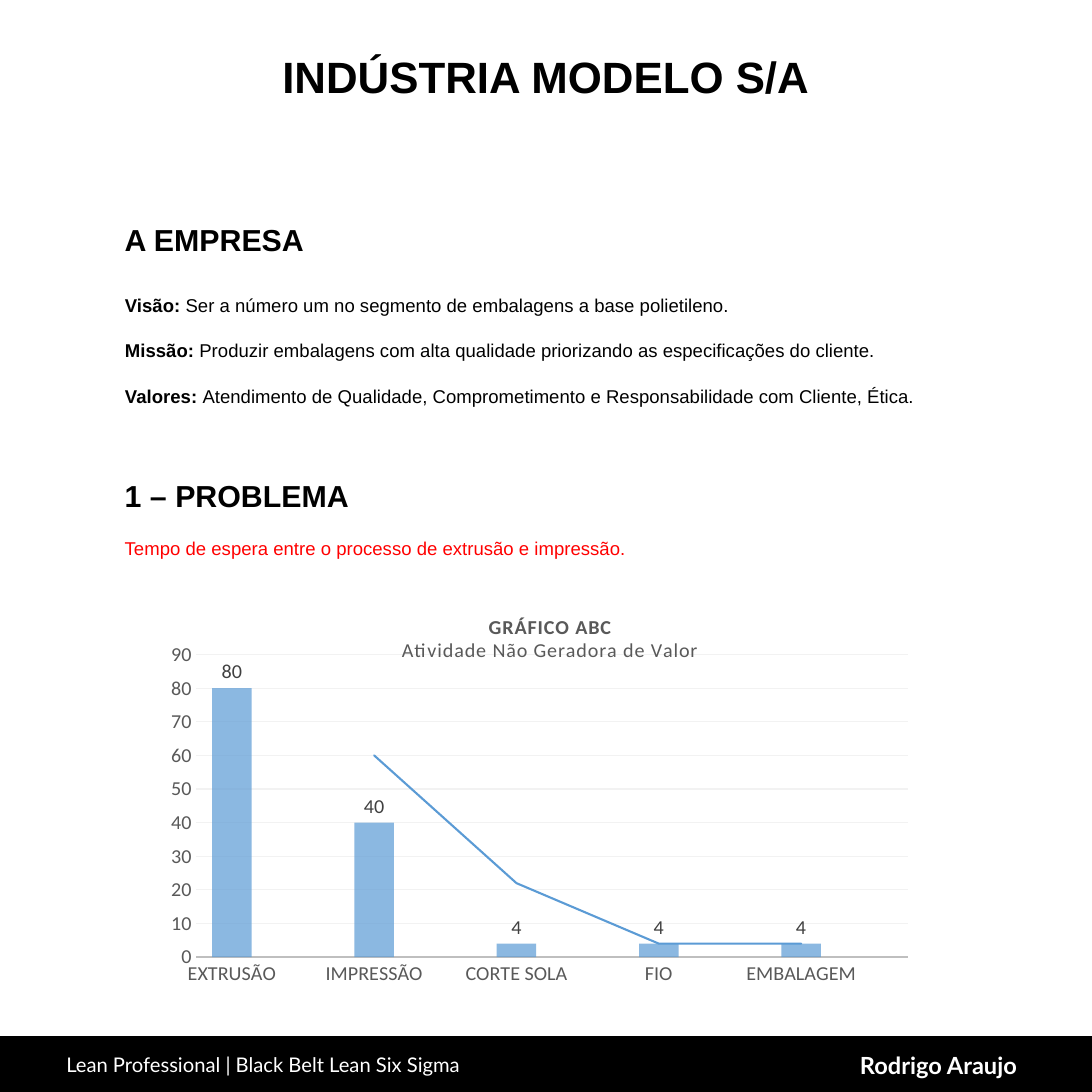
from lxml import etree
from pptx import Presentation
from pptx.chart.data import CategoryChartData
from pptx.dml.color import RGBColor
from pptx.enum.chart import XL_CHART_TYPE, XL_LABEL_POSITION, XL_TICK_MARK
from pptx.enum.shapes import MSO_SHAPE
from pptx.enum.text import MSO_ANCHOR, MSO_AUTO_SIZE, PP_ALIGN
from pptx.oxml import parse_xml
from pptx.oxml.ns import nsdecls, qn
from pptx.util import Inches, Pt

COLUMN = XL_CHART_TYPE.COLUMN_CLUSTERED
OUTSIDE_END = XL_LABEL_POSITION.OUTSIDE_END
NO_TICK = XL_TICK_MARK.NONE
RECTANGLE = MSO_SHAPE.RECTANGLE
TOP, MIDDLE = MSO_ANCHOR.TOP, MSO_ANCHOR.MIDDLE
NO_FIT = MSO_AUTO_SIZE.NONE
LEFT, CENTER = PP_ALIGN.LEFT, PP_ALIGN.CENTER

SIDE = 9
MARGIN = 0.93
COLORS = {
    "ink": "000000", "paper": "FFFFFF", "alert": "FF0000", "bar": "5B9BD5",
    "axis_text": "595959", "label": "404040", "axis": "BFBFBF", "grid": "F2F2F2",
}
TITLE = {"name": "Arial", "size": Pt(26), "bold": True}
HEADING = {"name": "Arial", "size": Pt(18), "bold": True}
BODY = {"name": "Arial", "size": Pt(11), "bold": False}
CHART_TEXT = {"name": "Calibri", "size": Pt(12), "bold": False}
AUTHOR = {"name": "Lato", "size": Pt(14), "bold": True}
COURSE = {"name": "Lato", "size": Pt(12), "bold": False}

COMPANY = [
    ("Visão: ", "Ser a número um no segmento de embalagens a base polietileno."),
    ("Missão: ", "Produzir embalagens com alta qualidade priorizando as especificações do cliente."),
    ("Valores: ", "Atendimento de Qualidade, Comprometimento e Responsabilidade com Cliente, Ética."),
]
ACTIVITIES = [("EXTRUSÃO", 80), ("IMPRESSÃO", 40), ("CORTE SOLA", 4), ("FIO", 4), ("EMBALAGEM", 4)]


def color(name):
    return RGBColor.from_string(COLORS[name])


def format_font(font, values, color_name="ink"):
    for attribute, value in values.items():
        setattr(font, attribute, value)
    font.color.rgb = color(color_name)


def place(shape, box):
    for attribute, value in zip(("left", "top", "width", "height"), box):
        setattr(shape, attribute, Inches(value))


def prepare_frame(shape, anchor=TOP):
    frame = shape.text_frame
    settings = {"word_wrap": True, "auto_size": NO_FIT, "vertical_anchor": anchor}
    for attribute, value in settings.items():
        setattr(frame, attribute, value)
    return frame


def write(shape, text, values, color_name="ink", alignment=LEFT, anchor=TOP):
    paragraph = prepare_frame(shape, anchor).paragraphs[0]
    paragraph.alignment = alignment
    run = paragraph.add_run()
    run.text = text
    format_font(run.font, values, color_name)


def add_line_of_text(slide, box, text, values, color_name="ink"):
    write(slide.shapes.add_textbox(*map(Inches, box)), text, values, color_name)


def fill_company(slide, box):
    left, top, width, height = box
    add_line_of_text(slide, (left, top, width, 0.4), "A EMPRESA", HEADING)
    body = slide.placeholders[1]
    place(body, (left, top + 0.6, width, height - 0.6))
    frame = prepare_frame(body)
    for index, (label, statement) in enumerate(COMPANY):
        paragraph = frame.paragraphs[0] if index == 0 else frame.add_paragraph()
        paragraph.space_before, paragraph.space_after = Pt(0), Pt(13.75)
        properties = paragraph._p.get_or_add_pPr()
        properties.set("marL", "0")
        properties.set("indent", "0")
        etree.SubElement(properties, qn("a:buNone"))
        for text, bold in ((label, True), (statement, False)):
            run = paragraph.add_run()
            run.text = text
            format_font(run.font, {**BODY, "bold": bold})


def fill_problem(slide, box):
    left, top, width, height = box
    add_line_of_text(slide, (left, top, width, 0.4), "1 – PROBLEMA", HEADING)
    add_line_of_text(slide, (left, top + 0.5, width, height - 0.5),
                     "Tempo de espera entre o processo de extrusão e impressão.", BODY, "alert")


def set_layout(parent, position, **values):
    for old in parent.findall(qn("c:layout")):
        parent.remove(old)
    layout = etree.Element(qn("c:layout"))
    manual = etree.SubElement(layout, qn("c:manualLayout"))
    for tag, value in values.items():
        etree.SubElement(manual, qn(f"c:{tag}")).set("val", str(value))
    parent.insert(position, layout)


def write_chart_title(chart):
    title = chart.chart_title
    frame = title.text_frame
    lines = (("GRÁFICO ABC", True), ("Atividade Não Geradora de Valor", False))
    for index, (text, bold) in enumerate(lines):
        paragraph = frame.paragraphs[0] if index == 0 else frame.add_paragraph()
        paragraph.alignment = CENTER
        run = paragraph.add_run()
        run.text = text
        format_font(run.font, {**CHART_TEXT, "bold": bold}, "axis_text")
        run._r.get_or_add_rPr().set("spc", "50")
    title.include_in_layout = False
    set_layout(title._element, 1, xMode="edge", yMode="edge", x=0.3, y=0.05)


def format_axes(chart):
    for axis in (chart.category_axis, chart.value_axis):
        axis.major_tick_mark = axis.minor_tick_mark = NO_TICK
        format_font(axis.tick_labels.font, CHART_TEXT, "axis_text")
    category_line = chart.category_axis.format.line
    category_line.color.rgb = color("axis")
    category_line.width = Pt(1.25)
    values = chart.value_axis
    values.minimum_scale, values.maximum_scale, values.major_unit = 0, 90, 10
    values.format.line.fill.background()
    grid = values.major_gridlines.format.line
    grid.color.rgb = color("grid")
    grid.width = Pt(0.75)


def format_series(series):
    fill = series.format.fill
    fill.solid()
    fill.fore_color.rgb = color("bar")
    bar_color = series._element.find(qn("c:spPr")).find(".//" + qn("a:srgbClr"))
    etree.SubElement(bar_color, qn("a:alpha")).set("val", "70000")
    labels = series.data_labels
    labels.show_value = True
    labels.position = OUTSIDE_END
    format_font(labels.font, CHART_TEXT, "label")
    trend = parse_xml(
        f'<c:trendline {nsdecls("c", "a")}><c:spPr><a:ln w="{Pt(1.25)}" cap="rnd"><a:solidFill>'
        f'<a:srgbClr val="{COLORS["bar"]}"/></a:solidFill></a:ln></c:spPr>'
        '<c:trendlineType val="movingAvg"/><c:period val="2"/>'
        '<c:dispRSqr val="0"/><c:dispEq val="0"/></c:trendline>')
    series._element.find(qn("c:cat")).addprevious(trend)


def fill_chart(slide, box):
    data = CategoryChartData()
    data.categories = [label for name, _ in ACTIVITIES for label in (name, "")]
    data.add_series("Series 1", [number for _, value in ACTIVITIES for number in (value, None)])
    chart = slide.shapes.add_chart(COLUMN, *map(Inches, box), data).chart
    chart.has_legend = False
    format_font(chart.font, CHART_TEXT)
    write_chart_title(chart)
    format_axes(chart)
    plot = chart.plots[0]
    plot.gap_width, plot.overlap, plot.vary_by_categories = 80, 25, False
    format_series(plot.series[0])
    set_layout(chart._chartSpace.chart.plotArea, 0, layoutTarget="inner", xMode="edge",
               yMode="edge", x=0.03, y=0.166, w=0.951, h=0.787)


def fill_footer(slide, box):
    left, top, width, height = box
    group = slide.shapes.add_group_shape()

    def add_block(block):
        shape = group.shapes.add_shape(RECTANGLE, *map(Inches, block))
        shape.shadow.inherit = False
        shape.fill.solid()
        shape.fill.fore_color.rgb = color("ink")
        shape.line.color.rgb = color("ink")
        shape.line.width = Pt(0.75)
        return shape

    add_block(box)
    for offset, block_width, text, values in (
            (6.91, 1.65, "Rodrigo Araujo", AUTHOR),
            (0.43, 3.48, "Lean Professional | Black Belt Lean Six Sigma", COURSE)):
        block = add_block((left + offset, top + 0.07, block_width, height - 0.13))
        write(block, text, values, "paper", CENTER, MIDDLE)


def main():
    presentation = Presentation()
    presentation.slide_width = presentation.slide_height = Inches(SIDE)
    slide = presentation.slides.add_slide(presentation.slide_layouts[1])
    title = slide.shapes.title
    place(title, (2.12, 0.36, SIDE - 2 * 2.12, 0.54))
    write(title, "INDÚSTRIA MODELO S/A", TITLE, alignment=CENTER)
    fill_company(slide, (MARGIN, 1.77, 7.37, 1.63))
    fill_problem(slide, (MARGIN, 3.88, 6.33, 0.79))
    fill_chart(slide, (1.41, 4.87, 6.19, 3.25))
    fill_footer(slide, (0, 8.54, SIDE, 0.46))
    presentation.save("out.pptx")


if __name__ == "__main__":
    main()
